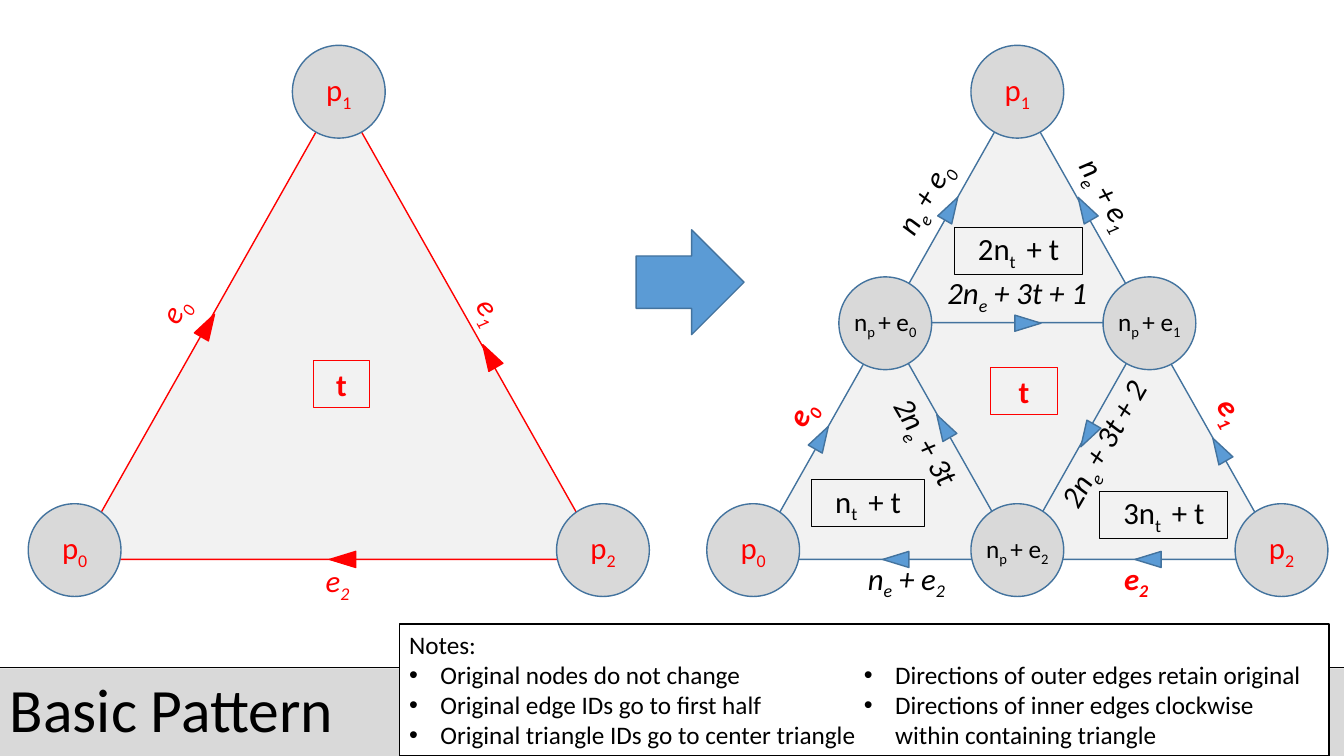
"""Build the Basic Pattern slide: one triangle subdivided into four."""
from typing import NamedTuple

from lxml.etree import SubElement
from pptx import Presentation
from pptx.dml.color import RGBColor as Rgb
from pptx.enum.shapes import MSO_CONNECTOR as Link, MSO_SHAPE as Preset
from pptx.enum.text import MSO_ANCHOR as Anchor, PP_ALIGN as Align
from pptx.oxml.ns import qn
from pptx.util import Inches, Pt

COLORS = dict(red="FF0000", black="000000", white="FFFFFF", pale="F2F2F2",
              gray="D9D9D9", blue="5B9BD5", navy="43739E")
WIDTH, HEIGHT = 13.33, 7.5
COL, ROW, TOP = 1.31, 2.32, 0.91
BEFORE, AFTER = 0.74, 7.47
NODE_SIZE, LABEL_SIZE, HEAD_SIZE = (0.92, 0.92), (1.64, 0.47), (0.16, 0.26)
BOTTOM_NODE = 1.96
BAR_TOP = 6.63


class Node(NamedTuple):
    """A vertex; col and row count lattice steps from the triangle's corner."""
    origin: float
    col: float
    row: float
    text: str
    color: str = "red"
    size: int = 22


class EdgeLabel(NamedTuple):
    """The name written beside an edge."""
    origin: float
    col: float
    row: float
    text: str
    angle: int = 0
    color: str = "black"
    bold: bool = False


class FaceLabel(NamedTuple):
    """The framed name of a triangle."""
    origin: float
    col: float
    row: float
    text: str
    width: float
    color: str = "black"


class EdgeHead(NamedTuple):
    """The direction marker on an edge."""
    origin: float
    col: float
    row: float
    angle: int
    fill: str = "blue"
    line: str = "navy"


NODES = [Node(origin, col, row, text)
         for origin in (BEFORE, AFTER)
         for col, row, text in ((2, 0, "p_1"), (0, BOTTOM_NODE, "p_0"), (4, BOTTOM_NODE, "p_2"))]
NODES += [Node(AFTER, col, row, f"n_p _+ e_{edge}", "black", 18)
          for edge, (col, row) in enumerate(((1, 0.99), (3, 0.99), (2, BOTTOM_NODE)))]

EDGE_LABELS = [
    EdgeLabel(BEFORE, 0.76, 0.94, "e_0", 300, "red"),
    EdgeLabel(BEFORE, 3.14, 0.94, "e_1", 60, "red"),
    EdgeLabel(BEFORE, 1.99, 2.1, "e_2", 0, "red"),
    EdgeLabel(AFTER, 0.37, 1.38, "e_0", 300, "red", True),
    EdgeLabel(AFTER, 3.61, 1.37, "e_1", 60, "red", True),
    EdgeLabel(AFTER, 2.9, 2.09, "e_2", 0, "red", True),
    EdgeLabel(AFTER, 1.3, 0.46, "n_e_ + e_0", 300),
    EdgeLabel(AFTER, 2.67, 0.44, "n_e_ + e_1", 60),
    EdgeLabel(AFTER, 1.16, 2.09, "n_e_ + e_2"),
    EdgeLabel(AFTER, 1.3, 1.5, "2n_e_ + 3t", 60),
    EdgeLabel(AFTER, 2, 0.87, "2n_e_ + 3t + 1"),
    EdgeLabel(AFTER, 2.66, 1.51, "2n_e_ + 3t + 2", 300),
]
FACE_LABELS = [
    FaceLabel(BEFORE, 2.02, 1.25, "t", 0.56, "red"),
    FaceLabel(AFTER, 2.05, 1.28, "t", 0.67, "red"),
    FaceLabel(AFTER, 0.87, 1.76, "n_t _ + t", 1.12),
    FaceLabel(AFTER, 2.01, 0.68, "2n_t _ + t", 1.27),
    FaceLabel(AFTER, 3.11, 1.81, "3n_t _ + t", 1.27),
]
EDGE_HEADS = [
    EdgeHead(BEFORE, 1.01, 1, 30, "red", "red"),
    EdgeHead(BEFORE, 3.14, 1.13, 330, "red", "red"),
    EdgeHead(BEFORE, 2.03, 2, 270, "red", "red"),
    EdgeHead(AFTER, 0.52, 1.48, 30),
    EdgeHead(AFTER, 3.53, 1.53, 330),
    EdgeHead(AFTER, 1.08, 2, 270),
    EdgeHead(AFTER, 1.5, 0.5, 30),
    EdgeHead(AFTER, 2.51, 0.5, 330),
    EdgeHead(AFTER, 2.99, 2, 270),
    EdgeHead(AFTER, 2.08, 0.99, 90),
    EdgeHead(AFTER, 1.44, 1.43, 330),
    EdgeHead(AFTER, 2.53, 1.47, 210),
]
NOTES = ["Original nodes do not change", "Original edge IDs go to first half",
         "Original triangle IDs go to center triangle"]
MORE_NOTES = ["Directions of outer edges retain original",
              "Directions of inner edges clockwise within containing triangle"]

deck = Presentation()
deck.slide_width, deck.slide_height = Inches(WIDTH), Inches(HEIGHT)
slide = deck.slides.add_slide(deck.slide_layouts[6])


def rgb(name: str) -> Rgb:
    """Look up a named colour."""
    return Rgb.from_string(COLORS[name])


def draw(preset, left, top, width, height, *, fill=None, line=None, weight=1, angle=0):
    """Add a flat preset shape."""
    shape = slide.shapes.add_shape(preset, *map(Inches, (left, top, width, height)))
    shape.shadow.inherit = False
    shape.rotation = angle
    for part, color in ((shape.fill, fill), (shape.line.fill, line)):
        if color:
            part.solid()
            part.fore_color.rgb = rgb(color)
        else:
            part.background()
    if line:
        shape.line.width = Pt(weight)
    return shape


def draw_centred(preset, spot, size, **style):
    """Add a shape centred on a spot of the triangle lattice."""
    width, height = size
    return draw(preset, spot.origin + spot.col * COL - width / 2,
                TOP + spot.row * ROW - height / 2, width, height, **style)


def write(shape, *lines, size=22, color="black", bold=False, italic=False, align=Align.CENTER,
          anchor=Anchor.MIDDLE, inset=0.0, right=None, wrap=False, spacing=None, bullets_from=None):
    """Write lines in which underscores switch subscript on and off."""
    frame = shape.text_frame
    frame.word_wrap, frame.vertical_anchor = wrap, anchor
    frame.margin_left = Inches(inset)
    frame.margin_right = Inches(inset if right is None else right)
    frame.margin_top = frame.margin_bottom = Inches(0.05)
    for index, line in enumerate(lines):
        paragraph = frame.paragraphs[0] if index == 0 else frame.add_paragraph()
        paragraph.alignment = align
        paragraph.line_spacing = spacing
        if bullets_from is not None and index >= bullets_from:
            props = paragraph._p.get_or_add_pPr()
            props.set("marL", str(Inches(0.31)))
            props.set("indent", str(-Inches(0.31)))
            SubElement(props, qn("a:buFont"), typeface="Arial")
            SubElement(props, qn("a:buChar"), char="•")
        for part, words in enumerate(line.split("_")):
            run = paragraph.add_run()
            run.text = words
            font = run.font
            font.name, font.size, font.bold, font.italic = "Calibri", Pt(size), bold, italic
            font.color.rgb = rgb(color)
            if part % 2:
                run._r.get_or_add_rPr().set("baseline", "-25000")


def draw_nodes(nodes: list[Node]) -> None:
    """Draw the vertices."""
    for node in nodes:
        circle = draw_centred(Preset.OVAL, node, NODE_SIZE, fill="gray", line="navy")
        write(circle, node.text, size=node.size, color=node.color)


rule = slide.shapes.add_connector(Link.STRAIGHT, Inches(WIDTH), Inches(6.62), 0, Inches(6.62))
rule.line.color.rgb, rule.line.width = rgb("black"), Pt(1)
SubElement(rule._element.spPr, qn("a:effectLst"))

for corner, outline in ((BEFORE, "red"), (AFTER, "navy")):
    draw(Preset.ISOSCELES_TRIANGLE, corner, TOP, 4 * COL, 2 * ROW, fill="pale", line=outline)
draw(Preset.ISOSCELES_TRIANGLE, AFTER + COL, 3.2, 2 * COL, ROW, fill="pale", line="navy", angle=180)
draw_nodes(NODES)

for label in EDGE_LABELS:
    write(draw_centred(Preset.RECTANGLE, label, LABEL_SIZE, angle=label.angle), label.text,
          color=label.color, bold=label.bold, italic=True)
for label in FACE_LABELS:
    frame_box = draw_centred(Preset.RECTANGLE, label, (label.width, 0.47), line=label.color, weight=0.75)
    write(frame_box, label.text, color=label.color, bold=label.color == "red")

draw(Preset.RIGHT_ARROW, 6.31, 2.28, 1.07, 1.04, fill="blue", line="navy")
title_bar = draw(Preset.RECTANGLE, 0, BAR_TOP, WIDTH, HEIGHT - BAR_TOP, fill="gray")
write(title_bar, "Basic Pattern", size=44, align=Align.LEFT, inset=0.1, spacing=0.9)

notes_style = dict(size=18, align=Align.LEFT, anchor=Anchor.TOP, inset=0.1, wrap=True)
notes_panel = draw(Preset.RECTANGLE, 3.96, 6.19, 9.22, 1.31, fill="white", line="black")
write(notes_panel, "Notes:", *NOTES, right=4.5, bullets_from=1, **notes_style)
notes_column = draw(Preset.RECTANGLE, 8.47, 6.49, 4.71, 1.01)
write(notes_column, *MORE_NOTES, bullets_from=0, **notes_style)

for head in EDGE_HEADS:
    draw_centred(Preset.ISOSCELES_TRIANGLE, head, HEAD_SIZE, fill=head.fill, line=head.line, angle=head.angle)

deck.save("out.pptx")
